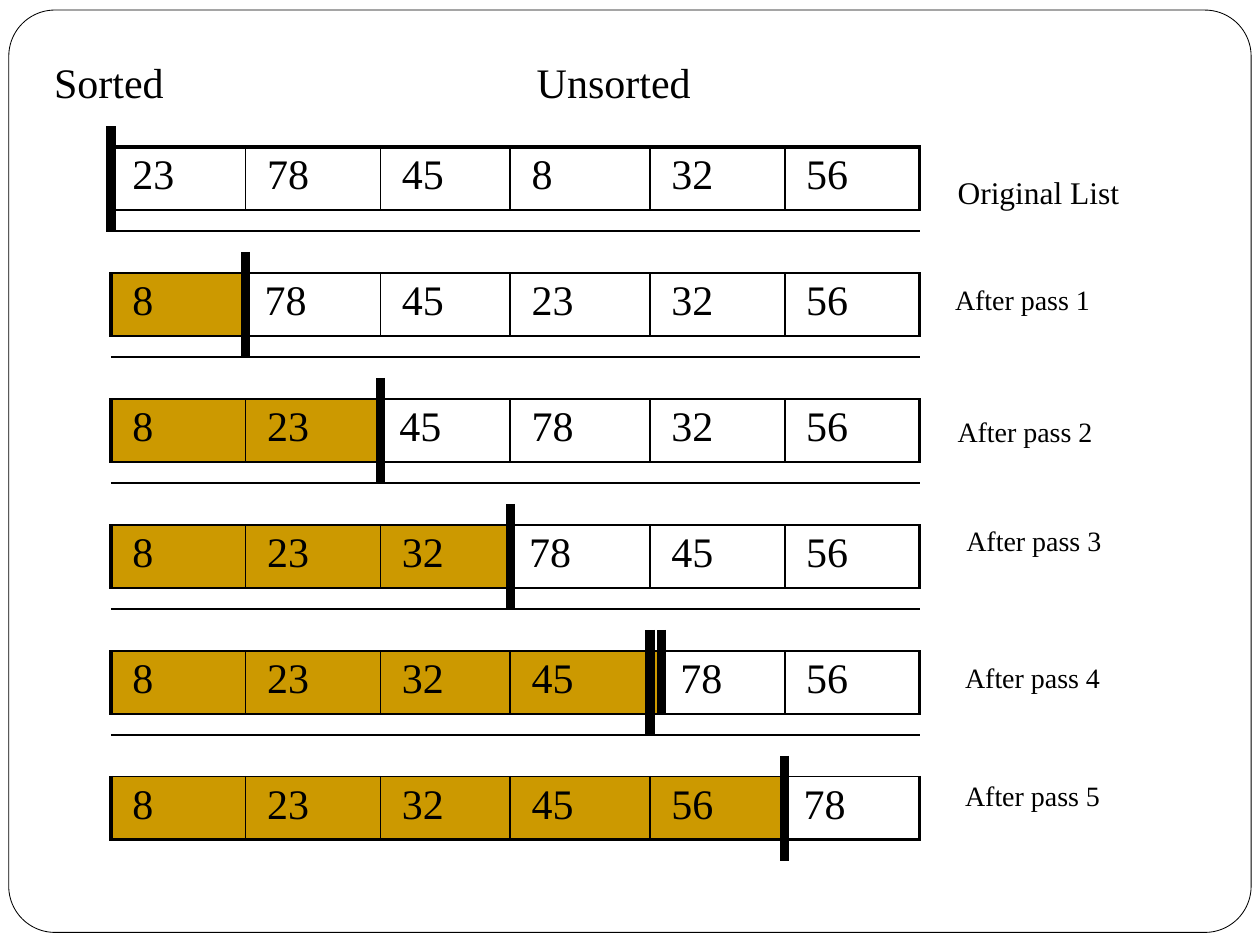
from lxml import etree
from pptx import Presentation
from pptx.dml.color import RGBColor
from pptx.enum import shapes
from pptx.oxml import ns
from pptx.util import Inches, Pt

BLACK = RGBColor(0, 0, 0)
GOLD = RGBColor(0xCC, 0x99, 0x00)
FONT = "Times New Roman"
THIN, THICK, BAR = 1, 2.25, 6


def style(p, value, size, before=0):
    p.text = value
    p.font.name = FONT
    p.font.size = Pt(size)
    p.font.color.rgb = BLACK
    p.space_before = Pt(before)


def add_border(cell, side, width):
    tcPr = cell._tc.get_or_add_tcPr()
    ln = etree.SubElement(tcPr, ns.qn("a:ln" + side), w=str(Pt(width)))
    if width:
        fill = etree.SubElement(ln, ns.qn("a:solidFill"))
        etree.SubElement(fill, ns.qn("a:srgbClr"), val=str(BLACK))
    else:
        etree.SubElement(ln, ns.qn("a:noFill"))


prs = Presentation()
prs.slide_width, prs.slide_height = Inches(10), Inches(7.5)
s = prs.slides.add_slide(prs.slide_layouts[6])

sp = s.shapes.add_shape(shapes.MSO_SHAPE.ROUNDED_RECTANGLE,
                        Inches(0.07), Inches(0.08), Inches(9.86), Inches(7.32))
sp.adjustments[0] = 0.05
sp.shadow.inherit = False
sp.fill.background()
sp.line.color.rgb = BLACK
sp.line.width = Pt(0.48)

passes = [
    [23, 78, 45, 8, 32, 56],
    [8, 78, 45, 23, 32, 56],
    [8, 23, 45, 78, 32, 56],
    [8, 23, 32, 78, 45, 56],
    [8, 23, 32, 45, 78, 56],
    [8, 23, 32, 45, 56, 78],
]
widths = [1.07, 1.07, 1.03, 1.11, 0.09, 0.98, 1.07]
splits = [0, 1, 2, 3, 4, 6]
n_cols, n_rows = len(widths), 4 * len(passes) - 1

tbl = s.shapes.add_table(n_rows, n_cols, Inches(0.88), Inches(1),
                         Inches(6.42), Inches(5.83)).table
tbl.first_row = tbl.horz_banding = False
for col, width in zip(tbl.columns, widths):
    col.width = Inches(width)
for i, row in enumerate(tbl.rows):
    row.height = Inches(0.5 if i % 4 == 1 else 1 / 6)

vert, horiz, starts, filled, values = {}, {}, {}, set(), {}
for i, numbers in enumerate(passes):
    top, split = 4 * i, splits[i]
    data, below = top + 1, top + 2
    starts[top] = starts[below] = sorted({0, split})
    starts[below + 1] = [0]
    starts[data] = [0, 1, 2, 3, 4, 6]
    for b in starts[data]:
        vert[data, b] = THIN
    vert[data, 0] = vert[data, n_cols] = THICK
    for r in (top, data, below):
        vert[r, split] = BAR
    for c in range(n_cols):
        horiz[data, c] = THICK if i == 0 else THIN
        horiz[below, c] = THICK if i == 5 else THIN
        if i < 5:
            horiz[below + 1, c] = THIN
    filled.update((data, c) for c in range(split))
    cols = starts[data]
    if i == 4:
        starts[top], starts[data] = [0, 4, 5], list(range(n_cols))
        vert[top, 5] = vert[data, 5] = BAR
        filled.add((data, 4))
        cols = [0, 1, 2, 3, 5, 6]
    for c, number in zip(cols, numbers):
        values[data, c] = str(number)

for r in range(n_rows):
    for c in range(n_cols):
        cell = tbl.cell(r, c)
        add_border(cell, "L", vert.get((r, c), 0))
        add_border(cell, "R", vert.get((r, c + 1), 0))
        add_border(cell, "T", horiz.get((r, c), 0))
        add_border(cell, "B", horiz.get((r + 1, c), 0))
        if (r, c) in filled:
            cell.fill.solid()
            cell.fill.fore_color.rgb = GOLD
        else:
            cell.fill.background()
        cell.margin_left = cell.margin_right = cell.margin_top = cell.margin_bottom = 0
        p = cell.text_frame.paragraphs[0]
        if (r, c) in values:
            after_bar = c > 0 and vert[r, c] == BAR
            cell.margin_left = Inches(0.15 if after_bar else 0.17)
            cell.margin_top = Inches(0.04)
            style(p, values[r, c], 24, 2.8)
        else:
            etree.SubElement(p._p, ns.qn("a:endParaRPr"), sz="800")
    for a, b in zip(starts[r], starts[r][1:] + [n_cols]):
        if b - a > 1:
            tbl.cell(r, a).merge(tbl.cell(r, b - 1))

labels = [
    (0.42, 0.44, 0.9, 0.43, [("Sorted", 24, 1, 0.01)]),
    (4.25, 0.44, 1.25, 0.43, [("Unsorted", 24, 1, 0.01)]),
    (7.57, 1.36, 1.33, 1.16, [("Original List", 18, 1, 0.03), ("After pass 1", 16, 41, 0.01)]),
    (7.59, 3.28, 1.17, 1.16, [("After pass 2", 16, 1, 0.01), ("After pass 3", 16, 43, 0.08)]),
    (7.65, 5.23, 1.1, 0.29, [("After pass 4", 16, 1, 0.01)]),
    (7.65, 6.17, 1.1, 0.27, [("After pass 5", 16, 0, 0.01)]),
]
for x, y, w, h, lines in labels:
    tf = s.shapes.add_textbox(Inches(x), Inches(y), Inches(w), Inches(h)).text_frame
    tf.word_wrap = True
    tf.margin_left = tf.margin_right = tf.margin_bottom = 0
    tf.margin_top = Inches(0.01)
    for i, (value, size, before, indent) in enumerate(lines):
        p = tf.add_paragraph() if i else tf.paragraphs[0]
        style(p, value, size, before)
        p._p.get_or_add_pPr().set("marL", str(Inches(indent)))

prs.save("out.pptx")
